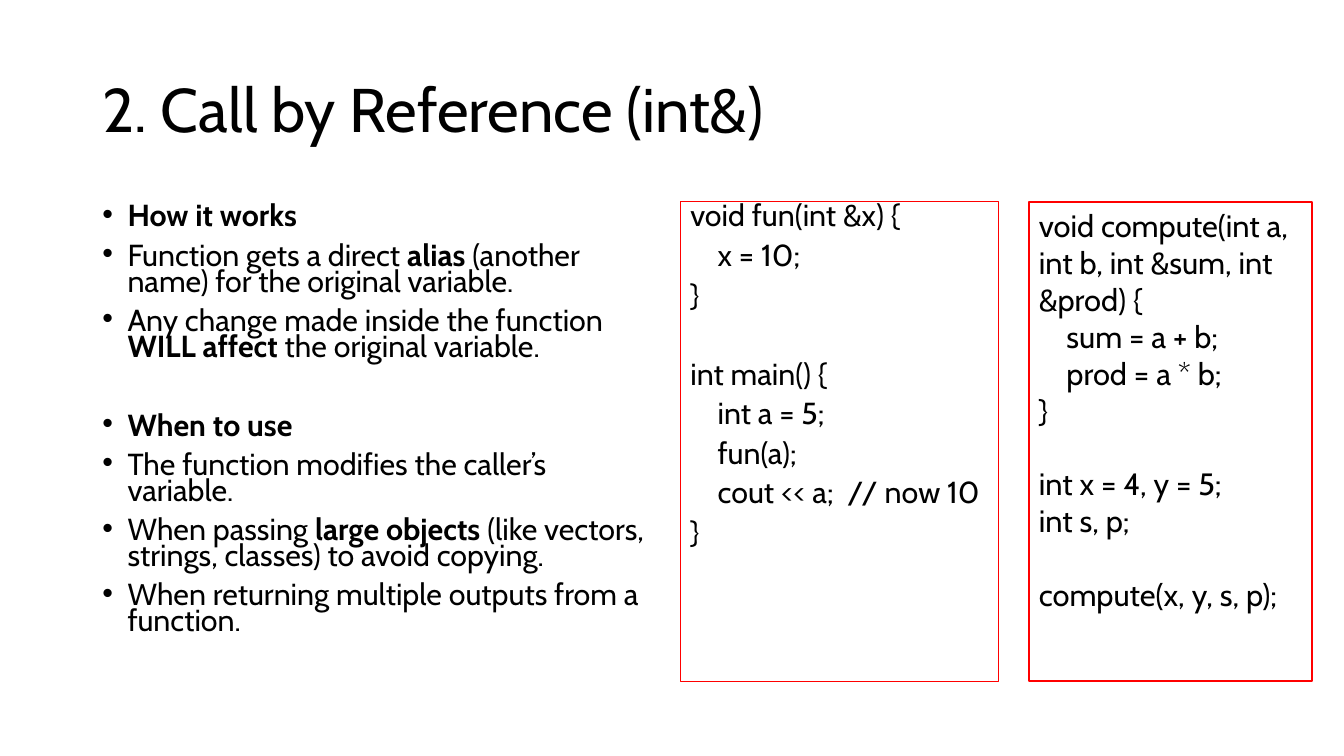
"""Build the slide on calling a function by reference."""
import dataclasses
import typing

import lxml.etree
import pptx
import pptx.dml.color
import pptx.enum.text
import pptx.oxml.ns
import pptx.slide
import pptx.text.text
import pptx.util

EMU_PER_PX = 9525
FONT = "Cabin"
COLOURS = {"text": "000000", "frame": "FF0000"}
BULLET_INDENT = 24


class Span(typing.NamedTuple):
    text: str
    bold: bool = False


@dataclasses.dataclass(frozen=True)
class Line:
    spans: tuple[Span, ...]
    after_gap: bool = False


@dataclasses.dataclass(frozen=True)
class Panel:
    left: int
    top: int
    width: int
    height: int
    lines: tuple[Line, ...]
    size: float
    spacing: float = 1.0
    before: float = 0
    gap: float = 0
    bulleted: bool = False
    frame: float = 0
    anchor: pptx.enum.text.MSO_ANCHOR = pptx.enum.text.MSO_ANCHOR.TOP


def px(length: int) -> pptx.util.Emu:
    return pptx.util.Emu(length * EMU_PER_PX)


def colour(name: str) -> pptx.dml.color.RGBColor:
    return pptx.dml.color.RGBColor.from_string(COLOURS[name])


def plain(text: str, after_gap: bool = False) -> Line:
    return Line((Span(text),), after_gap)


def heading(text: str, after_gap: bool = False) -> Line:
    return Line((Span(text, True),), after_gap)


def stressed(start: str, stress: str, end: str) -> Line:
    return Line((Span(start), Span(stress, True), Span(end)))


def code(listing: str) -> tuple[Line, ...]:
    rows = listing.split("\n")
    return tuple(
        plain(row, after_gap=index > 0 and not rows[index - 1])
        for index, row in enumerate(rows)
        if row
    )


def add_bullet(para: pptx.text.text._Paragraph) -> None:
    properties = para._p.get_or_add_pPr()
    properties.set("marL", str(px(BULLET_INDENT)))
    properties.set("indent", str(-px(BULLET_INDENT)))
    font = lxml.etree.SubElement(properties, pptx.oxml.ns.qn("a:buFont"))
    font.set("typeface", "Arial")
    bullet = lxml.etree.SubElement(properties, pptx.oxml.ns.qn("a:buChar"))
    bullet.set("char", "•")


def write_line(para: pptx.text.text._Paragraph, line: Line, panel: Panel, first: bool) -> None:
    if panel.bulleted:
        add_bullet(para)
    para.line_spacing = panel.spacing
    if not first:
        para.space_before = pptx.util.Pt(panel.before + panel.gap * line.after_gap)
    for span in line.spans:
        run = para.add_run()
        run.text = span.text
        run.font.name = FONT
        run.font.size = pptx.util.Pt(panel.size)
        run.font.bold = span.bold
        run.font.color.rgb = colour("text")


def draw_panel(page: pptx.slide.Slide, panel: Panel) -> None:
    box = page.shapes.add_textbox(
        px(panel.left), px(panel.top), px(panel.width), px(panel.height)
    )
    if panel.frame:
        box.line.color.rgb = colour("frame")
        box.line.width = pptx.util.Pt(panel.frame)
    frame = box.text_frame
    frame.word_wrap = True
    frame.vertical_anchor = panel.anchor
    for index, line in enumerate(panel.lines):
        para = frame.add_paragraph() if index else frame.paragraphs[0]
        write_line(para, line, panel, first=index == 0)


TITLE = Panel(
    88, 38, 1104, 139, (plain("2. Call by Reference (int&)"),), 44, spacing=0.9,
    anchor=pptx.enum.text.MSO_ANCHOR.MIDDLE,
)

EXPLANATION = Panel(
    88, 192, 544, 457,
    (
        heading("How it works"),
        stressed("Function gets a direct ", "alias", " (another name) for the original variable."),
        stressed("Any change made inside the function ", "WILL affect", " the original variable."),
        heading("When to use", after_gap=True),
        plain("The function modifies the caller’s variable."),
        stressed(
            "When passing ", "large objects",
            " (like vectors, strings, classes) to avoid copying.",
        ),
        plain("When returning multiple outputs from a function."),
    ),
    21.7, spacing=0.7, before=10, gap=28.2, bulleted=True,
)

SINGLE_REFERENCE = Panel(
    648, 192, 303, 457,
    code("""void fun(int &x) {
    x = 10;
}

int main() {
    int a = 5;
    fun(a);
    cout << a;  // now 10
}"""),
    21.7, spacing=0.7, before=10, gap=28.2, frame=0.75,
)

SEVERAL_OUTPUTS = Panel(
    980, 192, 270, 457,
    code("""void compute(int a, int b, int &sum, int &prod) {
    sum = a + b;
    prod = a * b;
}

int x = 4, y = 5;
int s, p;

compute(x, y, s, p);"""),
    22, gap=26.4, frame=1.5,
)


def main() -> None:
    deck = pptx.Presentation()
    deck.slide_width, deck.slide_height = px(1280), px(720)
    page = deck.slides.add_slide(deck.slide_layouts[6])
    for panel in (TITLE, EXPLANATION, SINGLE_REFERENCE, SEVERAL_OUTPUTS):
        draw_panel(page, panel)
    deck.save("out.pptx")


if __name__ == "__main__":
    main()
